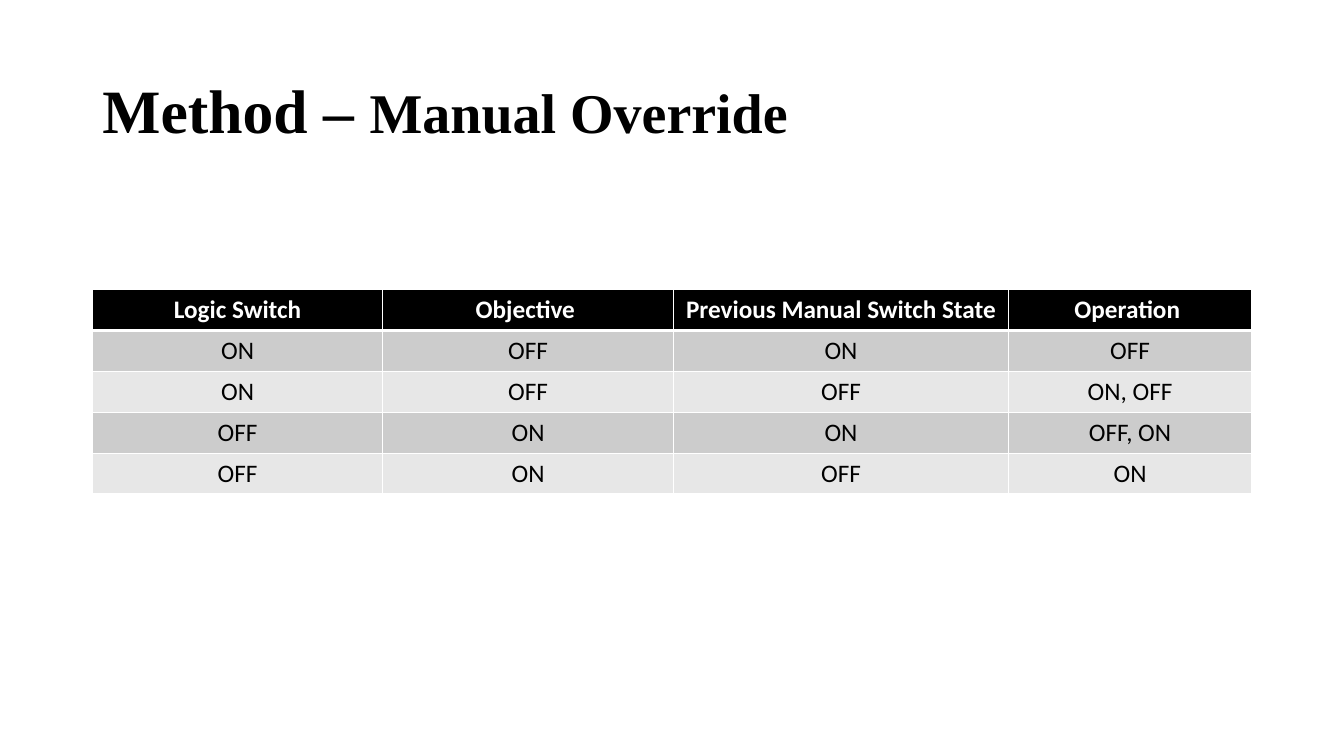
"""Build the Manual Override slide: a title over a table of switch states."""
from pptx import Presentation
from pptx.dml.color import RGBColor as RGB
from pptx.enum.text import MSO_ANCHOR as ANCHOR, MSO_AUTO_SIZE as AUTO, PP_ALIGN as ALIGN
from pptx.oxml.ns import qn
from pptx.util import Pt
from lxml.etree import SubElement

THEME = {
    "black": "000000", "white": "FFFFFF", "bands": ("CCCCCC", "E7E7E7"),
    "title_font": "Times New Roman", "body_font": "Calibri",
    "title_size": 44, "subtitle_size": 40, "body_size": 18,
    "rule": 1, "header_rule": 3,
}
LEFT, WIDTH = 66, 828
COLUMNS = (207.5, 207.5, 239.5, 173.5)
ROW_HEIGHT = 29.2
ROWS = (
    ("Logic Switch", "Objective ", "Previous Manual Switch State ", "Operation "),
    ("ON", "OFF", "ON", "OFF"),
    ("ON", "OFF", "OFF", "ON, OFF"),
    ("OFF", "ON", "ON", "OFF, ON"),
    ("OFF", "ON", "OFF", "ON"),
)


def add_run(p, text, font, size, color, bold):
    """Add one formatted run to a paragraph."""
    r = p.add_run()
    r.text = text
    for name, value in {"name": font, "size": Pt(size), "bold": bold}.items():
        setattr(r.font, name, value)
    r.font.color.rgb = RGB.from_string(color)


def set_border(cell, side, width):
    """Draw one white cell border."""
    ln = SubElement(cell._tc.get_or_add_tcPr(), qn(f"a:ln{side}"), w=str(Pt(width)))
    SubElement(SubElement(ln, qn("a:solidFill")), qn("a:srgbClr"), val=THEME["white"])


prs = Presentation()
prs.slide_width, prs.slide_height = Pt(960), Pt(540)
s = prs.slides.add_slide(prs.slide_layouts.get_by_name("Title Only"))

title = s.shapes.title
for name, value in {"left": LEFT, "top": 28.75, "width": WIDTH, "height": 104.4}.items():
    setattr(title, name, Pt(value))
tf = title.text_frame
for name, value in {"word_wrap": True, "auto_size": AUTO.NONE,
                    "vertical_anchor": ANCHOR.MIDDLE}.items():
    setattr(tf, name, value)
p = tf.paragraphs[0]
p.alignment, p.line_spacing = ALIGN.LEFT, 0.9
for text, size in (("Method – ", "title_size"), ("Manual Override", "subtitle_size")):
    add_run(p, text, THEME["title_font"], THEME[size], THEME["black"], True)

table = s.shapes.add_table(len(ROWS), len(COLUMNS), Pt(LEFT), Pt(206.9),
                           Pt(WIDTH), Pt(ROW_HEIGHT * len(ROWS))).table
for column, width in zip(table.columns, COLUMNS):
    column.width = Pt(width)

for i, row in enumerate(ROWS):
    table.rows[i].height = Pt(ROW_HEIGHT)
    header = i == 0
    fill = THEME["black"] if header else THEME["bands"][(i - 1) % 2]
    color = THEME["white"] if header else THEME["black"]
    heavy_side = {0: "B", 1: "T"}.get(i)
    for j, text in enumerate(row):
        cell = table.cell(i, j)
        for side in "LRTB":
            set_border(cell, side, THEME["header_rule" if side == heavy_side else "rule"])
        cell.fill.solid()
        cell.fill.fore_color.rgb = RGB.from_string(fill)
        p = cell.text_frame.paragraphs[0]
        p.alignment = ALIGN.CENTER
        add_run(p, text, THEME["body_font"], THEME["body_size"], color, header)

prs.save("out.pptx")
